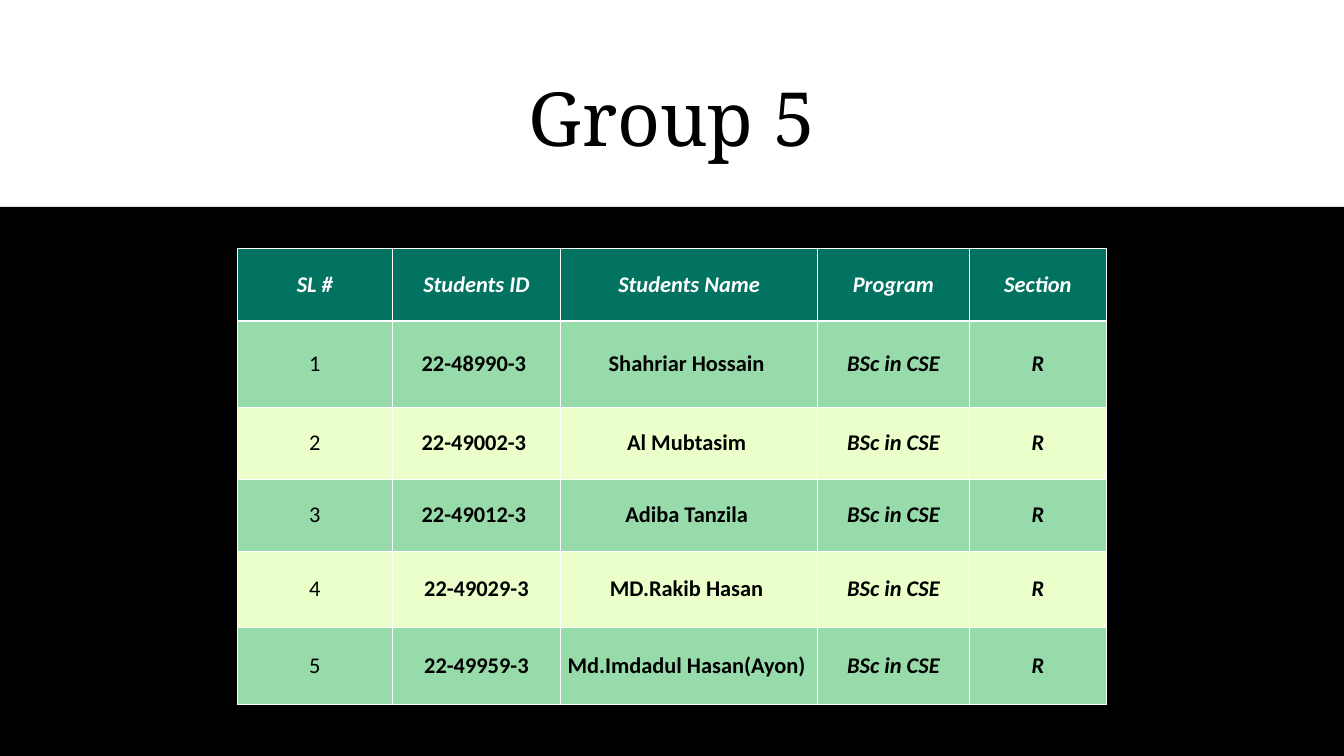
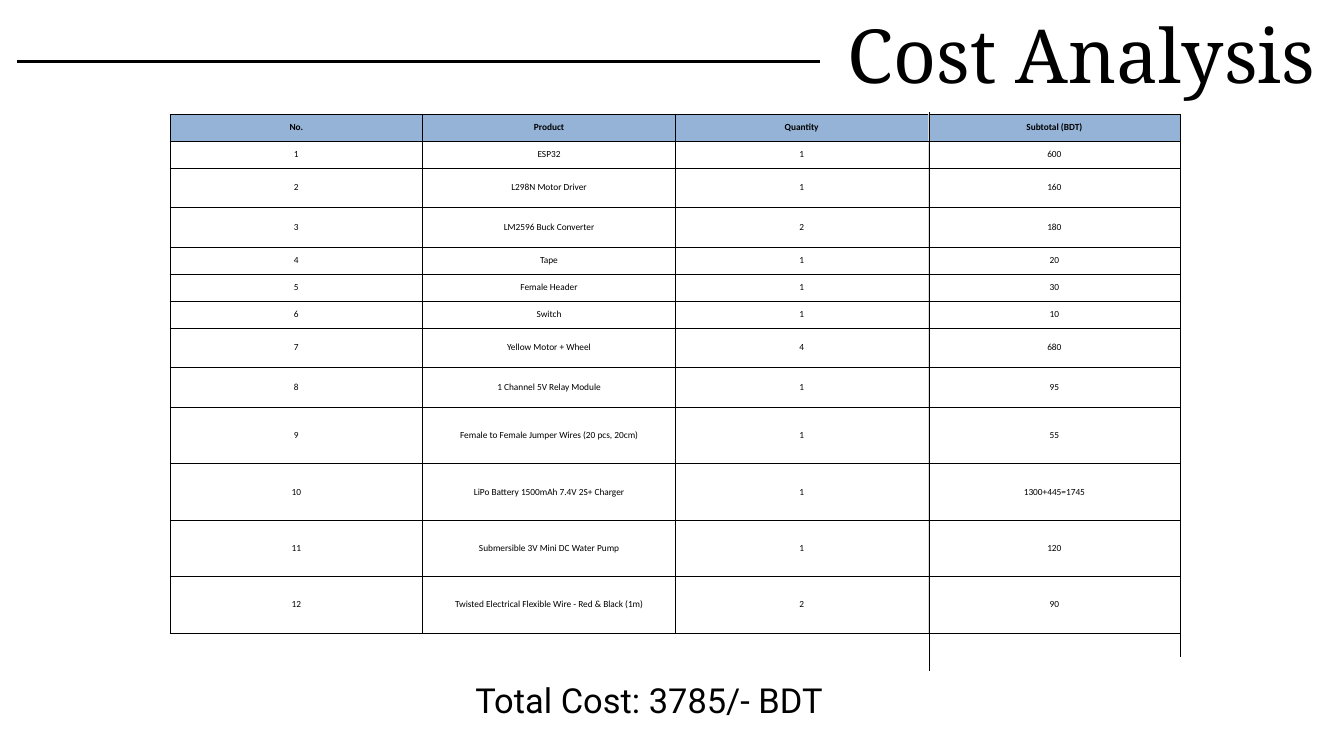
from lxml import etree
from pptx import Presentation
from pptx.dml.color import RGBColor
from pptx.enum.shapes import MSO_CONNECTOR, MSO_SHAPE
from pptx.enum.text import MSO_ANCHOR as ANCHOR, MSO_AUTO_SIZE as FIT, PP_ALIGN as ALIGN
from pptx.oxml import parse_xml
from pptx.oxml.ns import nsdecls, qn
from pptx.util import Pt

SCALE = 9144
COLORS = {
    "white": "FFFFFF",
    "black": "000000",
    "teal": "027361",
    "green": "97DBAA",
    "lime": "EAFFC9",
    "blue": "95B3D7",
    "grey": "D9D9D9",
}
TITLE = {"name": "Noto Serif", "size": Pt(80)}
TOTAL = {"name": "Roboto", "size": Pt(36.9)}
MEMBER = {"name": "Calibri", "size": Pt(24)}
COST = {"name": "Calibri", "size": Pt(10)}
FRAME = {"margin_left": 0, "margin_right": 0, "margin_top": 0, "margin_bottom": 0,
         "word_wrap": True, "vertical_anchor": ANCHOR.TOP, "auto_size": FIT.SHAPE_TO_FIT_TEXT}
TIGHT = {"margin_left": 5, "margin_right": 5, "margin_top": 3, "margin_bottom": 3}

MEMBERS = [
    ("22-48990-3 ", "Shahriar Hossain "),
    ("22-49002-3 ", "Al Mubtasim "),
    ("22-49012-3 ", "Adiba Tanzila "),
    ("22-49029-3", "MD.Rakib Hasan "),
    ("22-49959-3", "Md.Imdadul Hasan(Ayon) "),
]
PARTS = [
    ("ESP32", "1", "600"),
    ("L298N Motor Driver", "1", "160"),
    ("LM2596 Buck Converter", "2", "180"),
    ("Tape", "1", "20"),
    ("Female Header", "1", "30"),
    ("Switch", "1", "10"),
    ("Yellow Motor + Wheel", "4", "680"),
    ("1 Channel 5V Relay Module", "1", "95"),
    ("Female to Female Jumper Wires (20 pcs, 20cm)", "1", "55"),
    ("LiPo Battery 1500mAh 7.4V 2S+ Charger", "1", "1300+445=1745"),
    ("Submersible 3V Mini DC Water Pump", "1", "120"),
    ("Twisted Electrical Flexible Wire - Red & Black (1m)", "2", "90"),
]


def px(*values):
    return [v * SCALE for v in values]


def rgb(name):
    return RGBColor.from_string(COLORS[name])


def apply(target, values):
    for key, value in values.items():
        setattr(target, key, value)


class Deck:
    def __init__(self, width, height):
        self.prs = Presentation()
        self.prs.slide_width, self.prs.slide_height = px(width, height)
        self.s = None

    def slide(self, title, box):
        self.s = self.prs.slides.add_slide(self.prs.slide_layouts[5])
        sp = self.s.shapes.title
        sp.left, sp.top, sp.width, sp.height = px(*box)
        self.fill_frame(sp.text_frame, title, TITLE)

    def fill_frame(self, tf, text, font):
        apply(tf, FRAME)
        self.fill_text(tf.paragraphs[0], text, font)
        tf.paragraphs[0].line_spacing = font["size"]

    def fill_text(self, p, text, font, color="black"):
        p.alignment = ALIGN.CENTER
        r = p.add_run()
        r.text = text
        apply(r.font, font)
        r.font.color.rgb = rgb(color)

    def text(self, text, box, font):
        self.fill_frame(self.s.shapes.add_textbox(*px(*box)).text_frame, text, font)

    def band(self, box, color):
        sp = self.s.shapes.add_shape(MSO_SHAPE.RECTANGLE, *px(*box))
        sp.shadow.inherit = False
        sp.fill.solid()
        sp.fill.fore_color.rgb = rgb(color)
        sp.line.fill.background()

    def line(self, ends, width):
        cx = self.s.shapes.add_connector(MSO_CONNECTOR.STRAIGHT, *px(*ends))
        cx.line.color.rgb = rgb("black")
        cx.line.width = Pt(width)
        etree.SubElement(cx._element.spPr, qn("a:effectLst"))

    def table(self, at, cols, rows, data, style):
        box = px(*at, sum(cols), sum(rows))
        tbl = self.s.shapes.add_table(len(rows), len(cols), *box).table
        tbl.first_row = tbl.horz_banding = False
        for col, width in zip(tbl.columns, cols):
            col.width = width * SCALE
        for row, height in zip(tbl.rows, rows):
            row.height = height * SCALE
        for i, values in enumerate(data):
            for j, value in enumerate(values):
                self.cell(tbl.cell(i, j), value, **style(i, j))

    def cell(self, cell, text, font, color, fill, borders, margins):
        cell.vertical_anchor = ANCHOR.MIDDLE
        apply(cell, {key: v * SCALE for key, v in margins.items()})
        self.fill_text(cell.text_frame.paragraphs[0], text, font, color)
        tc_pr = cell._tc.get_or_add_tcPr()
        for side in "LRTB":
            name, width = borders.get(side, borders["all"])
            tc_pr.append(parse_xml(
                f'<a:ln{side} {nsdecls("a")} w="{Pt(width)}"><a:solidFill>'
                f'<a:srgbClr val="{COLORS[name]}"/></a:solidFill></a:ln{side}>'))
        cell.fill.solid()
        cell.fill.fore_color.rgb = rgb(fill)


def member_style(i, j):
    head = i == 0
    borders = {"all": ("white", 0.8)}
    if i < 2:
        borders["B" if head else "T"] = ("white", 2.4)
    return {
        "font": {**MEMBER, "bold": head or j > 0, "italic": head or j > 2},
        "color": "white" if head else "black",
        "fill": "teal" if head else ("lime", "green")[i % 2],
        "borders": borders,
        "margins": {},
    }


def cost_style(i, j):
    borders = {"all": ("black", 0.8)}
    if j > 1:
        borders["R" if j == 2 else "L"] = ("grey", 0.6)
    if (i, j) == (5, 3):
        borders["R"] = ("grey", 0.6)
    return {
        "font": {**COST, "bold": i == 0},
        "color": "black",
        "fill": "white" if i else "blue",
        "borders": borders,
        "margins": TIGHT,
    }


def main():
    deck = Deck(2000, 1125)

    deck.slide("Group 5", (680, 129, 640, 116))
    deck.band((0, 308, 2000, 817), "black")
    members = [("SL #", "Students ID", "Students Name", "Program", "Section")]
    members += [(str(n), *m, "BSc in CSE", "R") for n, m in enumerate(MEMBERS, 1)]
    deck.table((353, 370), [231, 250, 383, 225, 205], [107, 129, 107, 107, 114, 114],
               members, member_style)

    deck.slide("Cost Analysis", (975, 36, 1269, 116))
    deck.line((25, 91, 1220, 91), 3)
    deck.text("Total Cost: 3785/- BDT ", (669, 1021, 606, 52), TOTAL)
    costs = [("No.", "Product", "Quantity", "Subtotal (BDT)")]
    costs += [(str(n), *part) for n, part in enumerate(PARTS, 1)]
    heights = [40] * 2 + [59] * 2 + [40] * 3 + [59] * 2 + [84] * 4
    deck.table((253, 170), [376] * 4, heights, costs, cost_style)
    deck.line((1383, 167, 1383, 998), 0.75)
    deck.line((1757, 170, 1757, 978), 0.75)

    deck.prs.save("out.pptx")


if __name__ == "__main__":
    main()
